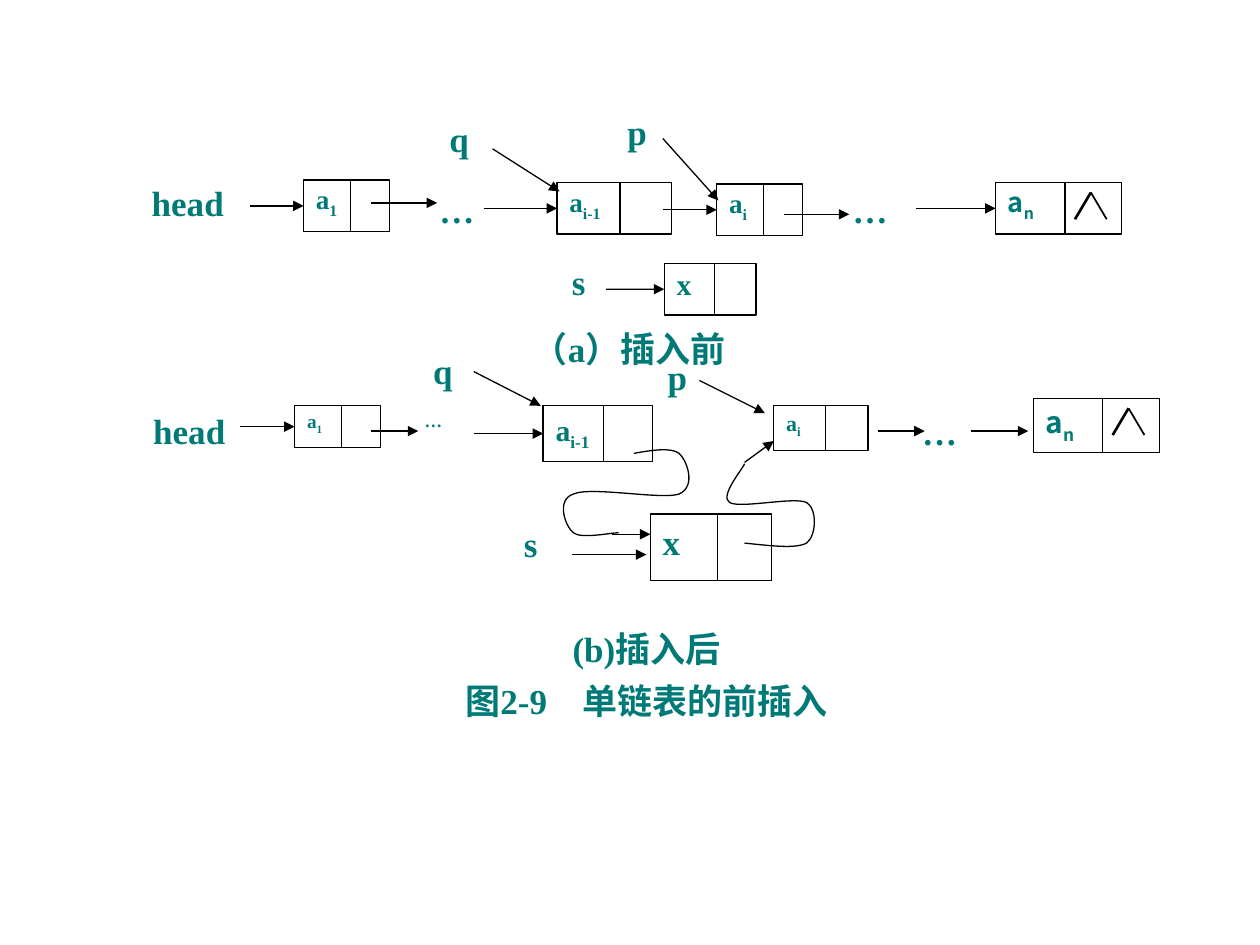
from dataclasses import dataclass

import lxml.etree
import pptx
import pptx.dml.color
import pptx.enum.shapes
import pptx.enum.text
import pptx.oxml.ns
import pptx.util

Cm = pptx.util.Cm
Pt = pptx.util.Pt
qn = pptx.oxml.ns.qn
ALIGN = pptx.enum.text.PP_ALIGN

TEAL = pptx.dml.color.RGBColor(0x00, 0x7A, 0x77)
BLACK = pptx.dml.color.RGBColor(0x00, 0x00, 0x00)
WHITE = pptx.dml.color.RGBColor(0xFF, 0xFF, 0xFF)
SERIF = "Times New Roman"
SANS = "Noto Sans CJK SC"
Point = tuple[float, float]


@dataclass
class Node:
    """A list node; lengths in cm, split is the divider's distance from the left."""
    value: str
    index: str
    left: float
    top: float
    width: float
    height: float
    split: float
    size: float
    spacing: float = 0.8
    pointer_from: float | None = None
    font: str = SERIF
    is_last: bool = False


@dataclass
class Label:
    lines: tuple[str, ...]
    left: float
    top: float
    width: float = 1.88
    height: float = 1.12
    size: float = 20
    align: ALIGN = ALIGN.JUSTIFY
    space_after: float = 0


@dataclass
class Arrow:
    start: Point
    end: Point


NODES = [
    # before insertion
    Node("a", "1", 6.12, 3.63, 1.73, 1.04, 0.94, 15.5, pointer_from=5.03),
    Node("a", "i-1", 11.23, 3.68, 2.31, 1.04, 1.27, 15.5, pointer_from=9.75),
    Node("a", "i", 14.45, 3.71, 1.73, 1.04, 0.94, 15.5, pointer_from=13.36),
    Node("a", "n", 20.07, 3.68, 2.54, 1.04, 1.4, 15.5, pointer_from=18.47,
         font=SANS, is_last=True),
    Node("x", "", 13.39, 5.31, 1.85, 1.04, 1.02, 17, 0.9, pointer_from=12.22),
    # after insertion
    Node("a", "1", 5.94, 8.18, 1.73, 0.84, 0.94, 11, pointer_from=4.83),
    Node("a", "i-1", 10.95, 8.18, 2.21, 1.12, 1.22, 17, 0.9, pointer_from=9.55),
    Node("a", "i", 15.6, 8.18, 1.9, 0.91, 1.04, 12.5),
    Node("a", "n", 20.83, 8.03, 2.54, 1.09, 1.4, 17, 0.9, font=SANS, is_last=True),
    Node("x", "", 13.11, 10.36, 2.44, 1.35, 1.35, 20, 1.0),
]

ARROWS = [
    # before insertion: q, p, next of a1, next of ai
    Arrow((9.93, 3.0), (11.28, 3.86)),
    Arrow((13.36, 2.79), (14.48, 4.04)),
    Arrow((7.47, 4.09), (8.81, 4.09)),
    Arrow((15.8, 4.32), (17.12, 4.32)),
    # after insertion: q, p, next of a1, next of ai, into an, s, into x, into ai
    Arrow((9.55, 7.49), (10.9, 8.18)),
    Arrow((14.1, 7.67), (15.42, 8.33)),
    Arrow((7.47, 8.69), (8.43, 8.69)),
    Arrow((17.7, 8.69), (18.64, 8.69)),
    Arrow((19.58, 8.69), (20.73, 8.69)),
    Arrow((11.53, 11.18), (13.03, 11.18)),
    Arrow((12.34, 10.77), (13.11, 10.77)),
    Arrow((15.01, 9.32), (15.6, 8.89)),
]

PREVIOUS_TO_NEW = [
    (12.78, 9.14),
    (13.16, 9.07), (13.54, 9.02), (13.69, 9.14),
    (13.84, 9.27), (14.05, 9.8), (13.69, 9.96),
    (13.34, 10.08), (11.91, 9.8), (11.56, 9.96),
    (11.2, 10.08), (11.4, 10.62), (11.56, 10.74),
    (11.71, 10.87), (12.32, 10.74), (12.47, 10.74),
]
NEW_TO_NEXT = [
    (15.01, 10.95),
    (15.52, 11.0), (16.03, 11.07), (16.26, 10.95),
    (16.46, 10.8), (16.48, 10.26), (16.26, 10.13),
    (16.0, 10.01), (14.91, 10.26), (14.71, 10.13),
    (14.5, 10.01), (14.96, 9.47), (15.01, 9.35),
]

LABELS = [
    Label(("head",), 2.81, 3.53, 2.7, 1.35),
    Label(("…",), 8.61, 3.68),
    Label(("…",), 16.94, 3.68),
    Label(("q",), 8.81, 2.24),
    Label(("p",), 12.4, 2.11),
    Label(("s",), 11.28, 5.13),
    Label(("（a）插入前",), 10.13, 6.48, 5.11, 1.45, align=ALIGN.CENTER, space_after=6),
    Label(("head",), 2.84, 8.13, 2.5, 1.22),
    Label(("…",), 8.31, 8.15, size=10),
    Label(("…",), 18.34, 8.15),
    Label(("q",), 8.48, 6.93),
    Label(("p",), 13.21, 7.04),
    Label(("s",), 10.31, 10.41),
    Label(("(b)插入后", "图2-9　单链表的前插入"), 8.97, 12.52, 8.13, 2.29,
          align=ALIGN.CENTER, space_after=6),
]


def add_run(paragraph, text: str, size: float, font: str = SERIF, subscript: bool = False) -> None:
    run = paragraph.add_run()
    run.text = text
    run.font.size = Pt(size)
    run.font.bold = True
    run.font.name = font
    run.font.color.rgb = TEAL
    properties = run.font._element
    lxml.etree.SubElement(properties, qn("a:ea")).set("typeface", SANS)
    if subscript:
        properties.set("baseline", "-25000")


def draw_line(shapes, start: Point, end: Point, weight: float = 0.75, arrow: bool = False):
    line = shapes.add_connector(pptx.enum.shapes.MSO_CONNECTOR.STRAIGHT,
                                *(Cm(value) for value in start + end))
    line.line.color.rgb = BLACK
    line.line.width = Pt(weight)
    if arrow:
        head = lxml.etree.SubElement(line.line._get_or_add_ln(), qn("a:tailEnd"))
        head.set("type", "triangle")
    lxml.etree.SubElement(line._element.spPr, qn("a:effectLst"))
    return line


def draw_node(shapes, node: Node) -> None:
    box = shapes.add_shape(pptx.enum.shapes.MSO_SHAPE.RECTANGLE, Cm(node.left), Cm(node.top),
                           Cm(node.width), Cm(node.height))
    box.shadow.inherit = False
    box.fill.solid()
    box.fill.fore_color.rgb = WHITE
    box.line.color.rgb = BLACK
    box.line.width = Pt(0.75)
    frame = box.text_frame
    frame.word_wrap = True
    frame.vertical_anchor = pptx.enum.text.MSO_ANCHOR.TOP
    content = frame.paragraphs[0]
    content.alignment = ALIGN.JUSTIFY
    content.line_spacing = node.spacing
    add_run(content, node.value, node.size, node.font)
    if node.index:
        add_run(content, node.index, node.size, node.font, subscript=True)

    divider = node.left + node.split
    draw_line(shapes, (divider, node.top), (divider, node.top + node.height))
    if node.pointer_from is not None:
        middle = node.top + node.height / 2
        pointer = draw_line(shapes, (node.pointer_from, middle), (node.left, middle), arrow=True)
        pointer.end_connect(box, 1)
    if node.is_last:
        foot_left, peak, foot_right = ((node.left + x, node.top + y)
                                       for x, y in ((1.6, 0.74), (1.92, 0.2), (2.24, 0.74)))
        draw_line(shapes, foot_left, peak, 1.5)
        draw_line(shapes, peak, foot_right, 1)


def draw_curve(shapes, points: list[Point]) -> None:
    """Draw a Bezier chain: a start point, then two controls and an end per segment."""
    start, *rest = [(Cm(x), Cm(y)) for x, y in points]
    builder = shapes.build_freeform(*start)
    builder.add_line_segments(rest, close=False)
    curve = builder.convert_to_shape()
    curve.shadow.inherit = False
    curve.fill.background()
    curve.line.color.rgb = BLACK
    curve.line.width = Pt(0.75)
    outline = next(curve._element.iter(qn("a:path")))
    steps = outline.findall(qn("a:lnTo"))
    for first in range(0, len(steps), 3):
        segment = lxml.etree.SubElement(outline, qn("a:cubicBezTo"))
        for step in steps[first:first + 3]:
            segment.append(step[0])
            outline.remove(step)


def draw_label(shapes, label: Label) -> None:
    frame = shapes.add_textbox(Cm(label.left), Cm(label.top),
                               Cm(label.width), Cm(label.height)).text_frame
    frame.word_wrap = True
    for number, line in enumerate(label.lines):
        paragraph = frame.add_paragraph() if number else frame.paragraphs[0]
        paragraph.alignment = label.align
        paragraph.space_after = Pt(label.space_after)
        add_run(paragraph, line, label.size)


def main() -> None:
    deck = pptx.Presentation()
    deck.slide_width, deck.slide_height = Cm(25.4), Cm(19.05)
    shapes = deck.slides.add_slide(deck.slide_layouts[6]).shapes
    for node in NODES:
        draw_node(shapes, node)
    for arrow in ARROWS:
        draw_line(shapes, arrow.start, arrow.end, arrow=True)
    for curve in (PREVIOUS_TO_NEW, NEW_TO_NEXT):
        draw_curve(shapes, curve)
    for label in LABELS:
        draw_label(shapes, label)
    deck.save("out.pptx")


if __name__ == "__main__":
    main()
